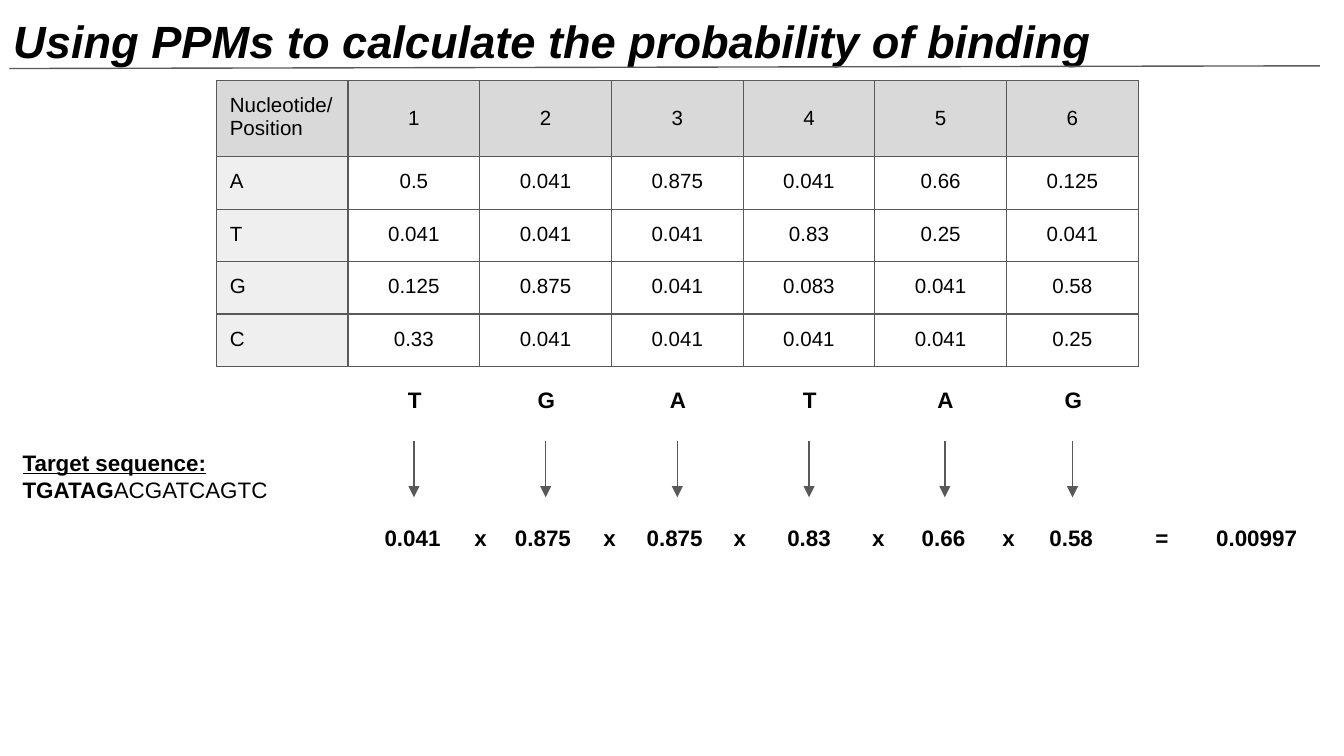
import pptx
import pptx.util
import pptx.dml.color
import pptx.enum.shapes
import pptx.enum.text
import pptx.oxml
import pptx.oxml.ns
import lxml.etree

Inches = pptx.util.Inches
Pt = pptx.util.Pt
ALIGN = pptx.enum.text.PP_ALIGN
COLORS = {"text": "000000", "line": "595959", "header": "D9D9D9", "label": "EFEFEF"}
RGB = {name: pptx.dml.color.RGBColor.from_string(value) for name, value in COLORS.items()}

deck = pptx.Presentation()
deck.slide_width = Inches(10)
deck.slide_height = Inches(10) * 9 // 16
page = deck.slides.add_slide(deck.slide_layouts[6])


def add_text(left, top, width, height, lines, size=12, align=ALIGN.CENTER):
    box = page.shapes.add_textbox(Inches(left), Inches(top), Inches(width), Inches(height))
    frame = box.text_frame
    frame.word_wrap = True
    frame.margin_left = frame.margin_right = Inches(0.1)
    frame.margin_top = frame.margin_bottom = Inches(0.1)
    for index, line in enumerate(lines):
        para = frame.add_paragraph() if index else frame.paragraphs[0]
        para.alignment = align
        para.font.name = "Arial"
        para.font.size = Pt(size)
        para.font.bold = True
        para.font.color.rgb = RGB["text"]
        for words in line:
            para.add_run().text = words
    return box


def add_line(x1, y1, x2, y2):
    line = page.shapes.add_connector(
        pptx.enum.shapes.MSO_CONNECTOR.STRAIGHT, Inches(x1), Inches(y1), Inches(x2), Inches(y2))
    line.line.color.rgb = RGB["line"]
    line.line.width = Pt(0.75)
    lxml.etree.SubElement(line._element.spPr, pptx.oxml.ns.qn("a:effectLst"))
    return line


title = add_text(0, 0, 9.95, 0.49, [["Using PPMs to calculate the probability of binding"]], 24.2, ALIGN.LEFT)
title.text_frame.margin_bottom = 0
title.text_frame.paragraphs[0].font.italic = True
add_line(0.07, 0.51, 9.82, 0.49)

centers = [3.08, 4.06, 5.04, 6.02, 7.03, 7.98]
factors = ["0.041", "0.875", "0.875", "0.83", "0.66", "0.58"]
factor_lefts = [2.76, 3.73, 4.71, 5.71, 6.71, 7.66]
for center, letter, left, factor in zip(centers, "TGATAG", factor_lefts, factors):
    add_text(center - 0.29, 2.77, 0.59, 0.4, [[letter]])
    arrow = add_line(center, 3.28, center, 3.7)
    tail = lxml.etree.SubElement(arrow.line._get_or_add_ln(), pptx.oxml.ns.qn("a:tailEnd"))
    tail.set("type", "triangle")
    add_text(left, 3.8, 0.62, 0.4, [[factor]])

for left, symbol in zip([3.28, 4.24, 5.21, 6.24, 7.21, 8.35], "xxxxx="):
    add_text(left, 3.8, 0.59, 0.4, [[symbol]])
add_text(8.86, 3.8, 0.98, 0.4, [["0.00997"]])

rows = [
    ["Nucleotide/ Position", "1", "2", "3", "4", "5", "6"],
    ["A", "0.5", "0.041", "0.875", "0.041", "0.66", "0.125"],
    ["T", "0.041", "0.041", "0.041", "0.83", "0.25", "0.041"],
    ["G", "0.125", "0.875", "0.041", "0.083", "0.041", "0.58"],
    ["C", "0.33", "0.041", "0.041", "0.041", "0.041", "0.25"],
]
matrix = page.shapes.add_table(5, 7, Inches(1.61), Inches(0.6), Inches(6.86), Inches(2.12)).table
for column in matrix.columns:
    column.width = Inches(0.98)
for r, values in enumerate(rows):
    matrix.rows[r].height = Inches(0.39 if r else 0.56)
    for c, value in enumerate(values):
        cell = matrix.cell(r, c)
        cell.text = value
        cell.margin_left = cell.margin_right = Inches(0.1)
        cell.margin_top = cell.margin_bottom = Inches(0.1)
        if r == 0 and c:
            cell.vertical_anchor = pptx.enum.text.MSO_ANCHOR.MIDDLE
        para = cell.text_frame.paragraphs[0]
        para.alignment = ALIGN.CENTER if c else ALIGN.LEFT
        para.font.name = "Arial"
        para.font.size = Pt(11)
        para.font.bold = False
        para.font.color.rgb = RGB["text"]
        properties = cell._tc.get_or_add_tcPr()
        for side in ("lnL", "lnR", "lnT", "lnB"):
            properties.append(pptx.oxml.parse_xml(
                f'<a:{side} {pptx.oxml.ns.nsdecls("a")} w="{Pt(0.75)}"><a:solidFill>'
                f'<a:srgbClr val="{COLORS["line"]}"/></a:solidFill></a:{side}>'))
        if r and c:
            cell.fill.background()
        else:
            cell.fill.solid()
            cell.fill.fore_color.rgb = RGB["label" if r else "header"]

target = add_text(0.07, 3.24, 2.17, 0.61, [["Target sequence:"], ["TGATAG", "ACGATCAGTC"]], align=ALIGN.LEFT)
heading, sequence = target.text_frame.paragraphs
heading.runs[0].font.underline = True
sequence.runs[1].font.bold = False

deck.save("out.pptx")
